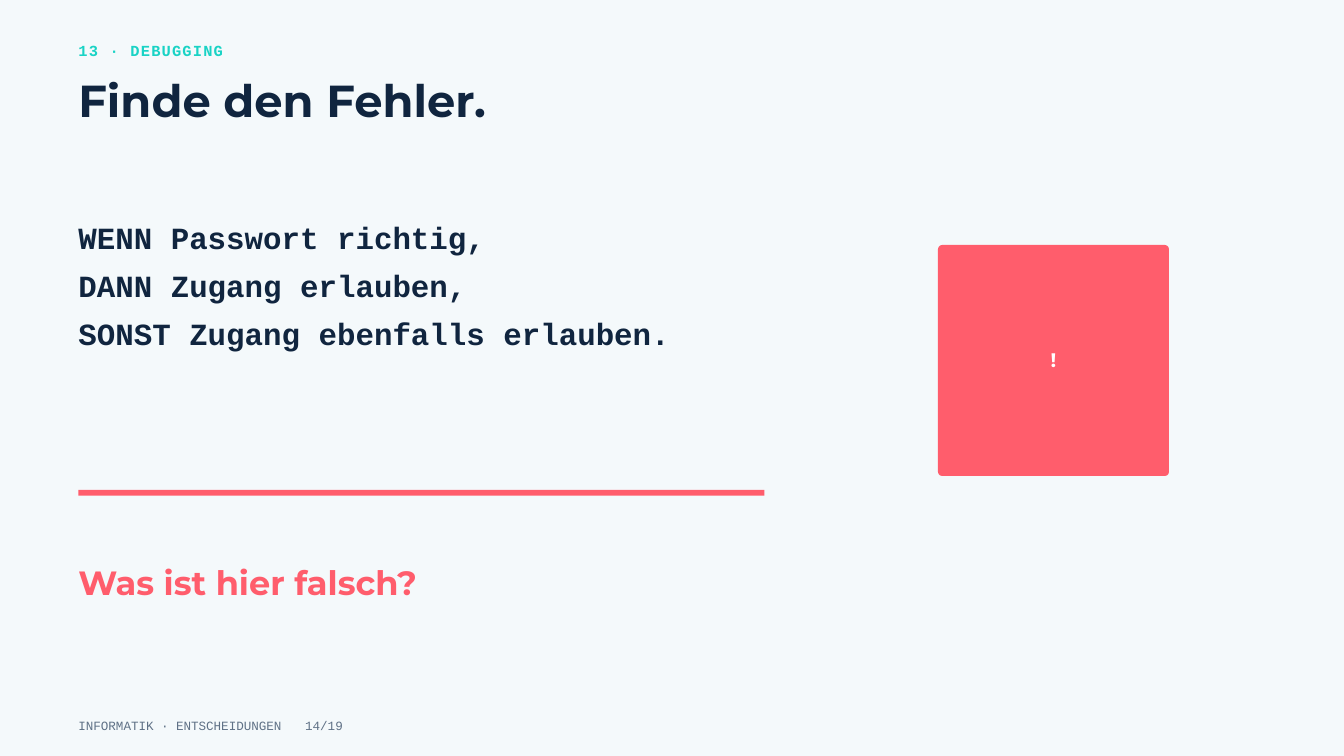
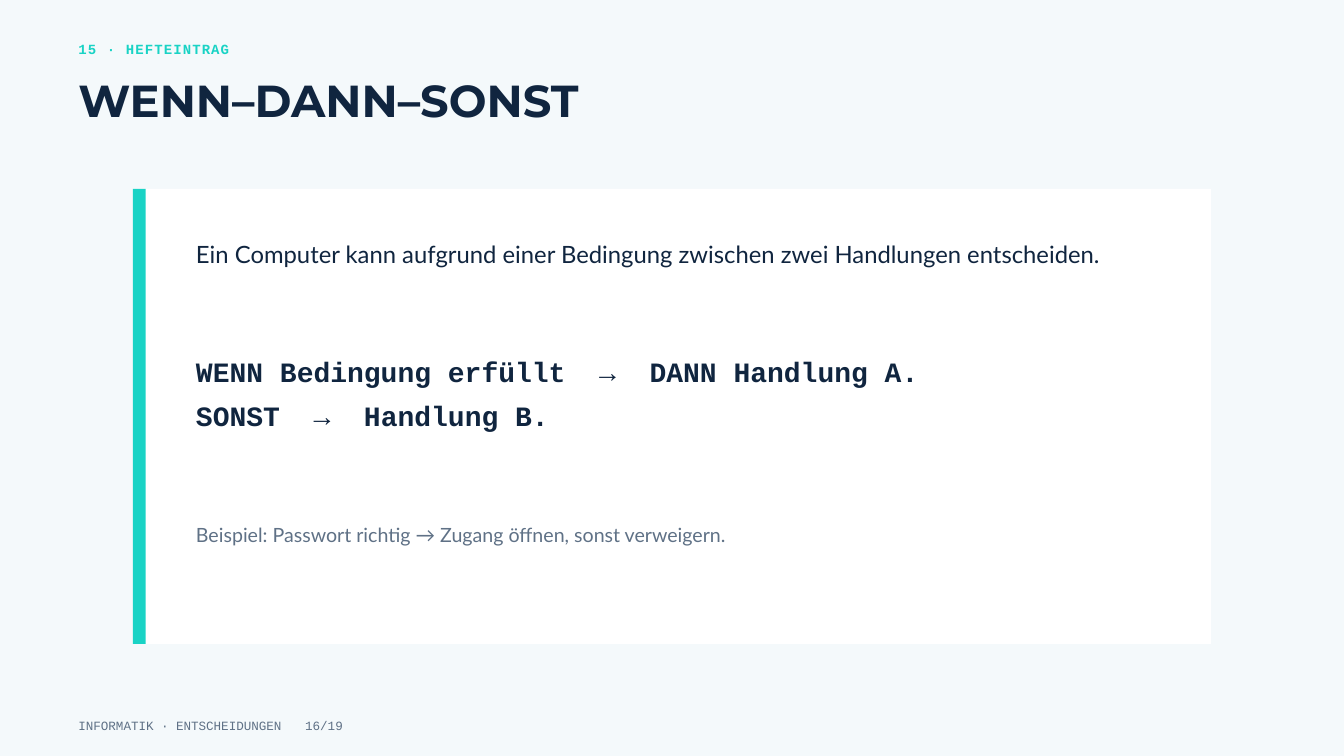
from dataclasses import dataclass

from lxml.etree import SubElement
from pptx import Presentation
from pptx.dml.color import RGBColor as RGB
from pptx.enum.shapes import MSO_SHAPE as SHAPE
from pptx.enum.text import MSO_ANCHOR as ANCHOR, PP_ALIGN as ALIGN
from pptx.oxml.ns import qn
from pptx.util import Pt


@dataclass(frozen=True)
class Style:
    font: str
    size: float
    color: str
    bold: bool = True
    leading: float = 1.4
    tracking: float = 0


class Theme:
    paper, white, ink, grey = "F4F9FB", "FFFFFF", "10253F", "5F7186"
    teal, coral = "19D3C5", "FF5D6C"
    mono, head, body = "Courier New", "Montserrat", "Lato"
    kicker = Style(mono, 16.5, teal, tracking=1.3)
    kicker_small = Style(mono, 15, teal, tracking=1.2)
    title = Style(head, 48, ink, leading=1.08)
    code = Style(mono, 33, ink, leading=1.55)
    rule = Style(mono, 30, ink, leading=1.55)
    question = Style(head, 36, coral)
    mark = Style(head, 21, white, leading=1.1)
    lead = Style(body, 25.5, ink, bold=False)
    example = Style(body, 21, grey, bold=False)
    footer = Style(mono, 13.5, grey, bold=False)


LEFT = 84
CARD_LEFT, CARD_TOP, CARD_W, CARD_H = 142.5, 202.5, 1155, 487.5
CARD_TEXT_LEFT, CARD_TEXT_W = 210, 1020


def set_all(obj, **values):
    for name, value in values.items():
        setattr(obj, name, value)


def add_tabs(p, stops):
    tabs = SubElement(p._p.get_or_add_pPr(), qn("a:tabLst"))
    for stop in stops:
        SubElement(tabs, qn("a:tab"), pos=str(Pt(stop)), algn="l")


def write(tf, lines, style, align=ALIGN.LEFT, anchor=ANCHOR.TOP, inset=0, tabs=()):
    set_all(tf, word_wrap=True, vertical_anchor=anchor, margin_left=Pt(inset),
            margin_right=Pt(inset), margin_top=Pt(inset), margin_bottom=Pt(inset))
    for i, line in enumerate(lines):
        p = tf.paragraphs[0] if i == 0 else tf.add_paragraph()
        if tabs:
            add_tabs(p, tabs[i])
        set_all(p, alignment=align, line_spacing=Pt(style.size * style.leading))
        r = p.add_run()
        r.text = line
        set_all(r.font, name=style.font, size=Pt(style.size), bold=style.bold)
        r.font.color.rgb = RGB.from_string(style.color)
        if style.tracking:
            r._r.get_or_add_rPr().set("spc", str(round(style.tracking * 100)))


def add_text(s, x, y, w, lines, style, tabs=()):
    h = len(lines) * style.size * style.leading
    sp = s.shapes.add_textbox(Pt(x), Pt(y), Pt(w), Pt(h))
    write(sp.text_frame, lines, style, tabs=tabs)


def add_block(s, x, y, w, h, color, radius=0):
    kind = SHAPE.ROUNDED_RECTANGLE if radius else SHAPE.RECTANGLE
    sp = s.shapes.add_shape(kind, Pt(x), Pt(y), Pt(w), Pt(h))
    if radius:
        sp.adjustments[0] = radius / min(w, h)
    sp.fill.solid()
    sp.fill.fore_color.rgb = RGB.from_string(color)
    sp.line.fill.background()
    sp.shadow.inherit = False
    return sp


def add_page(prs, kicker, title, number, kicker_style):
    """Add a slide with the shared background, heading and footer."""
    s = prs.slides.add_slide(prs.slide_layouts[6])
    s.background.fill.solid()
    s.background.fill.fore_color.rgb = RGB.from_string(Theme.paper)
    add_text(s, LEFT, 40.5, 165, [kicker], kicker_style)
    add_text(s, LEFT, 83.5, 1125, [title], Theme.title)
    add_text(s, LEFT, 766, 525, [f"INFORMATIK · ENTSCHEIDUNGEN\t{number}/19"],
             Theme.footer, tabs=[(243,)])
    return s


def build_debugging(prs):
    s = add_page(prs, "13 · DEBUGGING", "Finde den Fehler.", 14, Theme.kicker)
    add_text(s, LEFT, 223, 787.5,
             ["WENN Passwort richtig,", "DANN Zugang erlauben,",
              "SONST Zugang ebenfalls erlauben."], Theme.code)
    add_block(s, LEFT, 525, 735, 6, Theme.coral)
    add_text(s, LEFT, 594.5, 675, ["Was ist hier falsch?"], Theme.question)
    alert = add_block(s, 1005, 262.5, 247.5, 247.5, Theme.coral, radius=4.5)
    write(alert.text_frame, ["!"], Theme.mark, ALIGN.CENTER, ANCHOR.MIDDLE, inset=4.5)


def build_notebook_entry(prs):
    s = add_page(prs, "15 · HEFTEINTRAG", "WENN–DANN–SONST", 16, Theme.kicker_small)
    add_block(s, CARD_LEFT, CARD_TOP, CARD_W, CARD_H, Theme.white)
    add_block(s, CARD_LEFT, CARD_TOP, 13.5, CARD_H, Theme.teal)
    entries = [
        (252, ["Ein Computer kann aufgrund einer Bedingung zwischen zwei "
               "Handlungen entscheiden."], Theme.lead, ()),
        (369.5, ["WENN Bedingung erfüllt\t→\tDANN Handlung A.",
                 "SONST\t→\tHandlung B."], Theme.rule, [(432, 486), (126, 180)]),
        (556, ["Beispiel: Passwort richtig → Zugang öffnen, sonst verweigern."],
         Theme.example, ()),
    ]
    for top, lines, style, tabs in entries:
        add_text(s, CARD_TEXT_LEFT, top, CARD_TEXT_W, lines, style, tabs)


def main():
    prs = Presentation()
    set_all(prs, slide_width=Pt(1440), slide_height=Pt(810))
    build_debugging(prs)
    build_notebook_entry(prs)
    prs.save("out.pptx")


if __name__ == "__main__":
    main()
